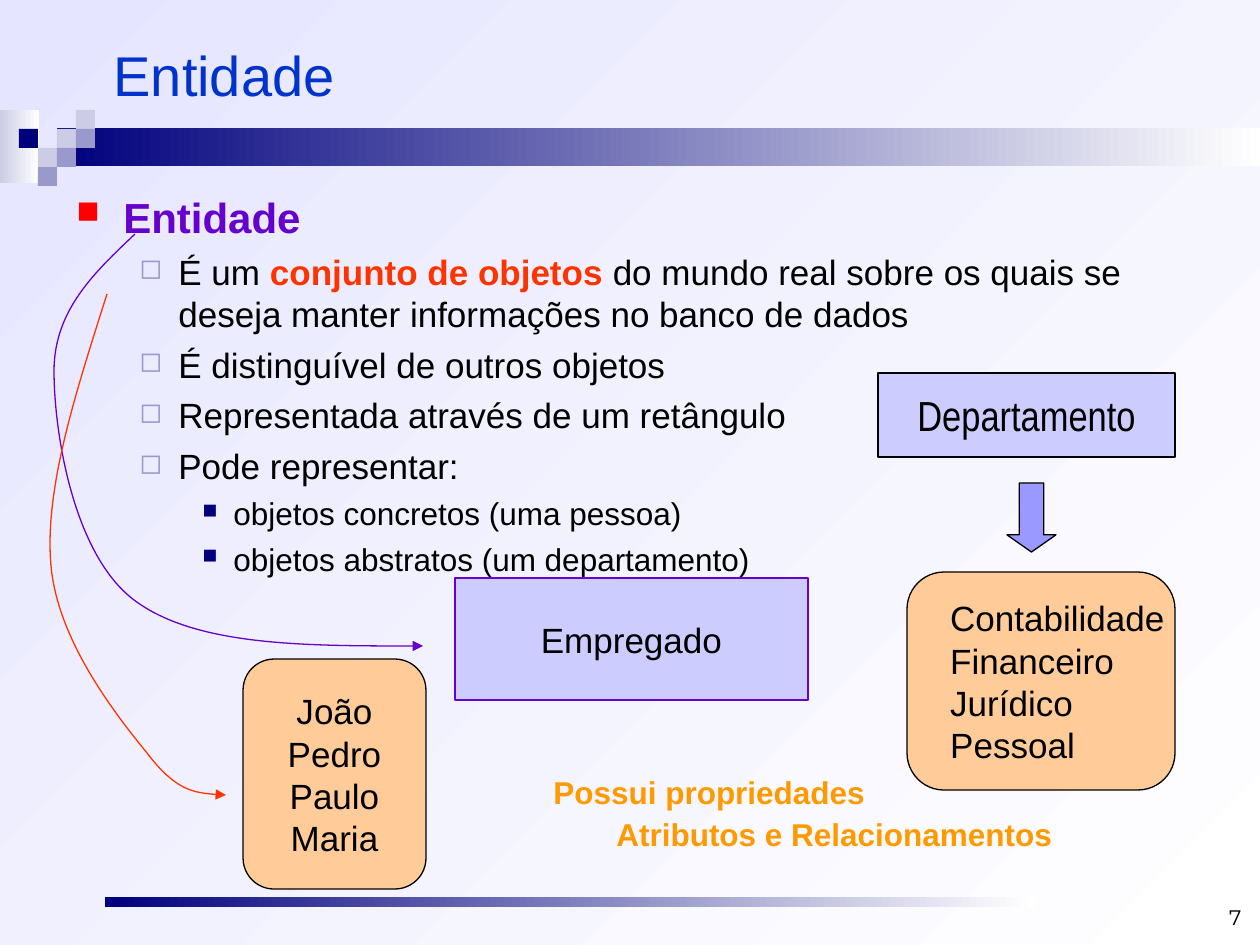
from dataclasses import dataclass
from typing import NamedTuple

from lxml.etree import SubElement
from pptx import Presentation
from pptx.dml.color import RGBColor
from pptx.enum.shapes import MSO_SHAPE as Shape
from pptx.enum.text import MSO_ANCHOR as Anchor, MSO_AUTO_SIZE as AutoSize, PP_ALIGN as Align
from pptx.oxml.ns import qn
from pptx.util import Emu, Pt

EMU_PER_PX = 914400 / 126


@dataclass(frozen=True)
class Theme:
    font: str = "Arial"
    narrow: str = "Arial Narrow"
    number_font: str = "Montserrat"
    black: str = "000000"
    white: str = "FFFFFF"
    backdrop: str = "E5E5FF"
    navy: str = "00007D"
    mist: str = "CCCCE6"
    slate: str = "9999CC"
    title: str = "0033CC"
    purple: str = "6600CC"
    orange_red: str = "FF3300"
    red: str = "FF0000"
    entity: str = "CCCCFF"
    instance: str = "FFCC99"
    arrow: str = "9999FF"
    amber: str = "FF9900"
    title_size: int = 32
    large: int = 24
    medium: int = 20
    small: int = 18
    number_size: int = 12


THEME = Theme()


class Box(NamedTuple):
    left: int
    top: int
    width: int
    height: int

    def emu(self) -> list:
        return [px(value) for value in self]


class Run(NamedTuple):
    text: str
    size: int = THEME.medium
    color: str = THEME.black
    bold: bool = False
    font: str = THEME.font


class Bullet(NamedTuple):
    char: str
    color: str
    percent: int


class Style(NamedTuple):
    margin: int = 0
    indent: int = 0
    space_before: float = 0
    align: Align = Align.LEFT
    bullet: Bullet | None = None


class Line(NamedTuple):
    runs: list
    style: Style = Style()


class Node(NamedTuple):
    kind: Shape
    box: Box
    fill: str
    outline: str = THEME.black
    adjustments: tuple = ()
    lines: tuple = ()


class Curve(NamedTuple):
    color: str
    points: list


TOPIC = Style(47, -47, 6, bullet=Bullet("■", THEME.red, 75))
POINT = Style(102, -39, 5, bullet=Bullet("◻", THEME.slate, 80))
DETAIL = Style(157, -31, 4.5, bullet=Bullet("■", THEME.navy, 65))
CENTERED = Style(align=Align.CENTER)
LISTED = Style(margin=20)

BODY = [
    Line([Run("Entidade", THEME.large, THEME.purple, True)], TOPIC),
    Line([Run("É um "),
          Run("conjunto de objetos", color=THEME.orange_red, bold=True),
          Run(" do mundo real sobre os quais se deseja manter informações no banco de dados")], POINT),
    Line([Run("É distinguível de outros objetos")], POINT),
    Line([Run("Representada através de um retângulo")], POINT),
    Line([Run("Pode representar:")], POINT),
    Line([Run("objetos concretos (uma pessoa)", THEME.small)], DETAIL),
    Line([Run("objetos abstratos (um departamento)", THEME.small)], DETAIL),
]
PROPERTIES = [
    Line([Run("Possui propriedades", THEME.small, THEME.amber, True)], Style(63)),
    Line([Run("Atributos e Relacionamentos", THEME.small, THEME.amber, True)], Style(126, 0, 2)),
]
DEPARTMENTS = ("Contabilidade", "Financeiro", "Jurídico", "Pessoal")
EMPLOYEES = ("João", "Pedro", "Paulo", "Maria")

NODES = [
    Node(Shape.RECTANGLE, Box(878, 373, 297, 84), THEME.entity,
         lines=(Line([Run("Departamento", THEME.large, font=THEME.narrow)], CENTERED),)),
    Node(Shape.ROUNDED_RECTANGLE, Box(907, 572, 268, 218), THEME.instance, adjustments=(0.17,),
         lines=tuple(Line([Run(name)], LISTED) for name in DEPARTMENTS)),
    Node(Shape.RECTANGLE, Box(455, 578, 353, 122), THEME.entity, THEME.purple,
         lines=(Line([Run("Empregado")], CENTERED),)),
    Node(Shape.ROUNDED_RECTANGLE, Box(243, 659, 183, 230), THEME.instance, adjustments=(0.17,),
         lines=tuple(Line([Run(name)], CENTERED) for name in EMPLOYEES)),
    Node(Shape.DOWN_ARROW, Box(1007, 483, 49, 69), THEME.arrow, adjustments=(0.5, 0.35)),
]
CURVES = [
    Curve(THEME.purple, [(135, 234), (95, 272), (54, 310), (54, 371), (54, 432),
                         (73, 554), (134, 600), (195, 646), (310, 646), (423, 646)]),
    Curve(THEME.orange_red, [(107, 294), (76, 392), (44, 489), (51, 566), (58, 642),
                             (117, 716), (147, 753), (176, 791), (200, 794), (226, 795)]),
]
GRADIENT_BARS = [
    (Box(0, 110, 39, 73), THEME.mist),
    (Box(57, 128, 1203, 38), THEME.navy),
    (Box(105, 897, 930, 10), THEME.navy),
]
TILE = 19
TILES_TOP = 110
TILES = [(3, 1, THEME.mist), (4, 0, THEME.mist), (4, 1, THEME.slate), (2, 2, THEME.mist),
         (1, 1, THEME.navy), (3, 2, THEME.slate), (2, 3, THEME.slate)]


def px(value: float) -> Emu:
    return Emu(round(value * EMU_PER_PX))


def rgb(color: str) -> RGBColor:
    return RGBColor.from_string(color)


def set_gradient(fill, start: str, end: str, angle: int = 0) -> None:
    fill.gradient()
    fill.gradient_angle = angle
    for stop, color in zip(fill.gradient_stops, (start, end)):
        stop.color.rgb = rgb(color)


def format_paragraph(paragraph, style: Style) -> None:
    paragraph.alignment = style.align
    paragraph.space_before = Pt(style.space_before)
    properties = paragraph._p.get_or_add_pPr()
    properties.set("marL", str(px(style.margin)))
    properties.set("indent", str(px(style.indent)))
    if style.bullet:
        color = SubElement(properties, qn("a:buClr"))
        SubElement(color, qn("a:srgbClr"), val=style.bullet.color)
        SubElement(properties, qn("a:buSzPct"), val=str(style.bullet.percent * 1000))
        SubElement(properties, qn("a:buChar"), char=style.bullet.char)


def write(shape, lines, anchor: Anchor = Anchor.TOP, wrap: bool = True) -> None:
    frame = shape.text_frame
    frame.auto_size = AutoSize.NONE
    frame.word_wrap = wrap
    frame.vertical_anchor = anchor
    for index, line in enumerate(lines):
        paragraph = frame.add_paragraph() if index else frame.paragraphs[0]
        format_paragraph(paragraph, line.style)
        for item in line.runs:
            run = paragraph.add_run()
            run.text = item.text
            run.font.name = item.font
            run.font.size = Pt(item.size)
            run.font.bold = item.bold
            run.font.color.rgb = rgb(item.color)


def add_text(slide, box: Box, lines, anchor: Anchor = Anchor.TOP) -> None:
    write(slide.shapes.add_textbox(*box.emu()), lines, anchor)


def add_plain_shape(slide, kind: Shape, box: Box):
    shape = slide.shapes.add_shape(kind, *box.emu())
    shape.shadow.inherit = False
    shape.line.fill.background()
    return shape


def set_outline(shape, color: str) -> None:
    shape.line.color.rgb = rgb(color)
    shape.line.width = Pt(0.75)


def add_node(slide, node: Node) -> None:
    shape = add_plain_shape(slide, node.kind, node.box)
    shape.fill.solid()
    shape.fill.fore_color.rgb = rgb(node.fill)
    set_outline(shape, node.outline)
    for index, value in enumerate(node.adjustments):
        shape.adjustments[index] = value
    if node.lines:
        write(shape, node.lines, Anchor.MIDDLE, wrap=False)


def add_curve(slide, curve: Curve) -> None:
    start, *rest = curve.points
    builder = slide.shapes.build_freeform(*start, scale=EMU_PER_PX)
    builder.add_line_segments(rest, close=False)
    shape = builder.convert_to_shape()
    shape.shadow.inherit = False
    shape.fill.background()
    set_outline(shape, curve.color)
    outline = next(shape.element.iter(qn("a:path")))
    segments = outline.findall(qn("a:lnTo"))
    for first in range(0, len(segments), 3):
        bezier = SubElement(outline, qn("a:cubicBezTo"))
        for segment in segments[first:first + 3]:
            bezier.append(segment[0])
            outline.remove(segment)
    SubElement(shape.element.spPr.find(qn("a:ln")), qn("a:tailEnd"), type="triangle")


def add_decoration(slide) -> None:
    set_gradient(slide.background.fill, THEME.backdrop, THEME.white, 315)
    for box, color in GRADIENT_BARS:
        set_gradient(add_plain_shape(slide, Shape.RECTANGLE, box).fill, color, THEME.white)
    for column, row, color in TILES:
        box = Box(column * TILE, TILES_TOP + row * TILE, TILE, TILE)
        tile = add_plain_shape(slide, Shape.RECTANGLE, box)
        tile.fill.solid()
        tile.fill.fore_color.rgb = rgb(color)


def main() -> None:
    presentation = Presentation()
    presentation.slide_width, presentation.slide_height = px(1260), px(945)
    slide = presentation.slides.add_slide(presentation.slide_layouts[5])
    add_decoration(slide)
    title = slide.shapes.title
    title.left, title.top, title.width, title.height = Box(101, 28, 1135, 92).emu()
    write(title, [Line([Run("Entidade", THEME.title_size, THEME.title)])], Anchor.MIDDLE)
    add_text(slide, Box(64, 185, 1135, 665), BODY)
    for node in NODES:
        add_node(slide, node)
    for curve in CURVES:
        add_curve(slide, curve)
    add_text(slide, Box(478, 767, 596, 93), PROPERTIES)
    number = Run("7", THEME.number_size, font=THEME.number_font)
    add_text(slide, Box(960, 873, 294, 63), [Line([number], Style(align=Align.RIGHT))], Anchor.BOTTOM)
    presentation.save("out.pptx")


if __name__ == "__main__":
    main()
